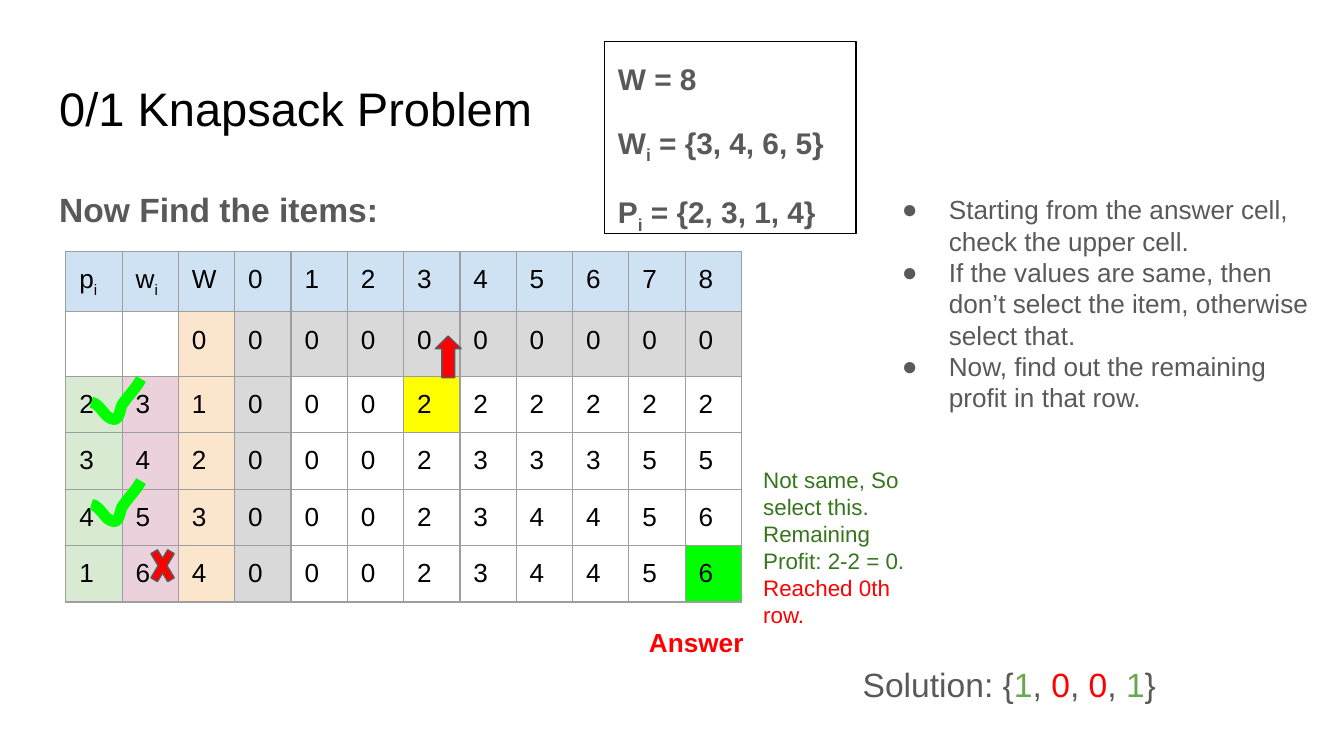
from dataclasses import dataclass

from lxml import etree
from pptx import Presentation
from pptx import util as u
from pptx.dml.color import RGBColor
from pptx.enum import shapes, text
from pptx.oxml import ns


@dataclass(frozen=True)
class Theme:
    font: str = "Arial"
    black: str = "000000"
    gray: str = "595959"
    red: str = "FF0000"
    lime: str = "00FF00"
    yellow: str = "FFFF00"
    dark_green: str = "38761D"
    green: str = "6AA84F"
    border: str = "9E9E9E"
    header: str = "CFE2F3"
    zero: str = "D9D9D9"
    profit: str = "D9EAD3"
    weight: str = "EAD1DC"
    item: str = "FCE5CD"
    title: float = 25.2
    heading: float = 18
    given: float = 16
    body: float = 14
    note: float = 12


T = Theme()
SUB = {"sub": True}
HEIGHTS = [0.45, 0.48] + [0.42] * 4
TABLE = [
    "p w W 0 1 2 3 4 5 6 7 8".split(),
    ["", ""] + ["0"] * 10,
    "2 3 1 0 0 0 2 2 2 2 2 2".split(),
    "3 4 2 0 0 0 2 3 3 3 5 5".split(),
    "4 5 3 0 0 0 2 3 4 4 5 6".split(),
    "1 6 4 0 0 0 2 3 4 4 5 6".split(),
]


def inches(box):
    return [u.Inches(v) for v in box]


def paint(fill, color):
    if color:
        fill.solid()
        fill.fore_color.rgb = RGBColor.from_string(color)
    else:
        fill.background()


def set_bullet(p, color, bullet):
    pPr = p._p.get_or_add_pPr()
    pPr.set("marL", str(u.Inches(0.5 if bullet else 0)))
    pPr.set("indent", str(u.Inches(-0.35 if bullet else 0)))
    if bullet:
        clr = etree.SubElement(pPr, ns.qn("a:buClr"))
        etree.SubElement(clr, ns.qn("a:srgbClr"), val=color)
        etree.SubElement(pPr, ns.qn("a:buChar"), char="●")
    else:
        etree.SubElement(pPr, ns.qn("a:buNone"))


def write(tf, paragraphs, size=T.body, color=T.gray, bold=False,
          spacing=1.0, before=0, after=0, bullet=False):
    """Fill a frame; a paragraph is a list of (text, run overrides)."""
    tf.word_wrap, tf.auto_size = True, text.MSO_AUTO_SIZE.NONE
    tf.vertical_anchor = text.MSO_ANCHOR.TOP
    tf.margin_left = tf.margin_right = u.Inches(0.1)
    tf.margin_top = tf.margin_bottom = u.Inches(0.1)
    for i, runs in enumerate(paragraphs):
        p = tf.add_paragraph() if i else tf.paragraphs[0]
        p.alignment, p.line_spacing = text.PP_ALIGN.LEFT, spacing
        p.space_before, p.space_after = u.Pt(before if i else 0), u.Pt(after)
        set_bullet(p, color, bullet)
        for words, own in runs:
            r = p.add_run()
            r.text = words
            r.font.name, r.font.size, r.font.bold = T.font, u.Pt(size), bold
            paint(r.font.fill, own.get("color", color))
            if own.get("sub"):
                r.font._element.set("baseline", "-25000")


def add_text(s, box, paragraphs, **fmt):
    write(s.shapes.add_textbox(*inches(box)).text_frame, paragraphs, **fmt)


def fill_placeholder(sp, box, paragraphs, **fmt):
    sp.left, sp.top, sp.width, sp.height = inches(box)
    write(sp.text_frame, paragraphs, **fmt)


def style(sp, fill, line, width=0.75):
    sp.shadow.inherit = False
    paint(sp.fill, fill)
    paint(sp.line.fill, line)
    sp.line.width = u.Pt(width)
    return sp


def add_shape(s, kind, box, fill=None, line=T.gray):
    return style(s.shapes.add_shape(kind, *inches(box)), fill, line)


def cell_fill(row, col):
    marked = {(2, 6): T.yellow, (5, 11): T.lime}
    if (row, col) in marked:
        return marked[row, col]
    if row == 0:
        return T.header
    if col < 2:
        return (T.profit, T.weight)[col] if row > 1 else None
    if col == 2:
        return T.item
    return T.zero if row == 1 or col == 3 else None


def format_cell(cell, value, fill):
    tcPr = cell._tc.get_or_add_tcPr()
    for side in ("lnL", "lnR", "lnT", "lnB"):
        ln = etree.SubElement(tcPr, ns.qn("a:" + side), w=str(u.Pt(0.75)))
        solid = etree.SubElement(ln, ns.qn("a:solidFill"))
        etree.SubElement(solid, ns.qn("a:srgbClr"), val=T.border)
    paint(cell.fill, fill)
    cell.margin_left = cell.margin_right = u.Inches(0.1)
    cell.margin_top = cell.margin_bottom = u.Inches(0.1)
    if value:
        runs = [(value, {})] + ([("i", SUB)] if value in "pw" else [])
        write(cell.text_frame, [runs], color=T.black)
    else:
        end = etree.SubElement(cell.text_frame.paragraphs[0]._p,
                               ns.qn("a:endParaRPr"), sz="1400")
        etree.SubElement(end, ns.qn("a:latin"), typeface=T.font)


def add_profit_table(s, box):
    table = s.shapes.add_table(len(TABLE), len(TABLE[0]), *inches(box)).table
    table.first_row = table.horz_banding = False
    for column in table.columns:
        column.width = u.Inches(box[2] / len(TABLE[0]))
    for i, values in enumerate(TABLE):
        table.rows[i].height = u.Inches(HEIGHTS[i])
        for j, value in enumerate(values):
            format_cell(table.cell(i, j), value, cell_fill(i, j))


def add_check(s, box):
    """Draw a tick as three sampled cubic curves, in fractions of the box."""
    curves = [[(0, 0.58), (0.19, 0.61), (0.27, 1), (0.46, 1)],
              [(0.46, 1), (0.57, 1), (0.57, 0.76), (0.62, 0.64)],
              [(0.62, 0.64), (0.73, 0.43), (0.89, 0.25), (1, 0)]]
    steps = [(1 - k / 10, k / 10) for k in range(11)]
    points = [inches(box[n] + box[n + 2] * (
        v**3 * a[n] + 3 * v * v * t * b[n] + 3 * v * t * t * c[n] + t**3 * d[n])
        for n in (0, 1)) for a, b, c, d in curves for v, t in steps]
    builder = s.shapes.build_freeform(*points[0])
    builder.add_line_segments(points[1:], close=False)
    style(builder.convert_to_shape(), None, T.lime, 6)


def add_marks(s, box):
    """Ticks, arrow and cross, placed from the table's corner."""
    x, y = box[:2]
    kind = shapes.MSO_SHAPE
    for dy in (0.95, 1.71):
        add_check(s, (x + 0.19, y + dy, 0.37, 0.3))
    add_shape(s, kind.UP_ARROW, (x + 2.75, y + 0.63, 0.19, 0.31), T.red)
    cross = (x + 0.6, y + 2.14, 0.24, 0.4)
    add_shape(s, kind.MATH_MULTIPLY, cross, T.red).adjustments[0] = 0.235


def add_given(s, box):
    sp = add_shape(s, shapes.MSO_SHAPE.RECTANGLE, box, line=T.black)
    write(sp.text_frame, [
        [("W = 8", {})],
        [("W", {}), ("i", SUB), (" = {3, 4, 6, 5}", {})],
        [("P", {}), ("i", SUB), (" = {2, 3, 1, 4}", {})],
    ], size=T.given, bold=True, spacing=1.15, before=12)


def add_solution(s, box):
    runs = [("Solution: {", {})]
    for i, taken in enumerate("1001"):
        runs += [(", ", {})] if i else []
        runs.append((taken, {"color": T.green if taken == "1" else T.red}))
    add_text(s, box, [runs + [("}", {})]], size=T.heading)


def build_slide(prs):
    s = prs.slides.add_slide(prs.slide_layouts.get_by_name("Two Content"))
    title, heading, steps = s.placeholders
    # Title, heading and steps
    fill_placeholder(title, (0.34, 0.49, 9.32, 0.63),
                     [[("0/1 Knapsack Problem", {})]], size=T.title, color=T.black)
    fill_placeholder(heading, (0.34, 1.26, 9.32, 3.74), [[("Now Find the items:", {})]],
                     size=T.heading, bold=True, spacing=1.15, after=12)
    fill_placeholder(steps, (6.46, 1.34, 3.38, 3.28), [
        [("Starting from the answer cell, check the upper cell.", {})],
        [("If the values are same, then don’t select the item, otherwise select that.", {})],
        [("Now, find out the remaining profit in that row.", {})]], bullet=True)
    # Table with its marks
    table_box = (0.49, 1.87, 5.03, sum(HEIGHTS))
    add_profit_table(s, table_box)
    add_marks(s, table_box)
    # Notes around the table
    add_text(s, (4.73, 4.56, 1.15, 0.31), [[("Answer", {})]], color=T.red, bold=True)
    add_text(s, (5.58, 3.37, 1.31, 1.33), [
        [("Not same, So select this.", {})], [("Remaining Profit: 2-2 = 0.", {})],
        [("Reached 0th row.", {"color": T.red})]], size=T.note, color=T.dark_green)
    # Given values and solution
    add_given(s, (4.5, 0.31, 1.87, 1.43))
    add_solution(s, (6.32, 4.84, 3.29, 0.58))


prs = Presentation()
prs.slide_width, prs.slide_height = u.Inches(10), u.Inches(10 * 9 / 16)
build_slide(prs)
prs.save("out.pptx")
